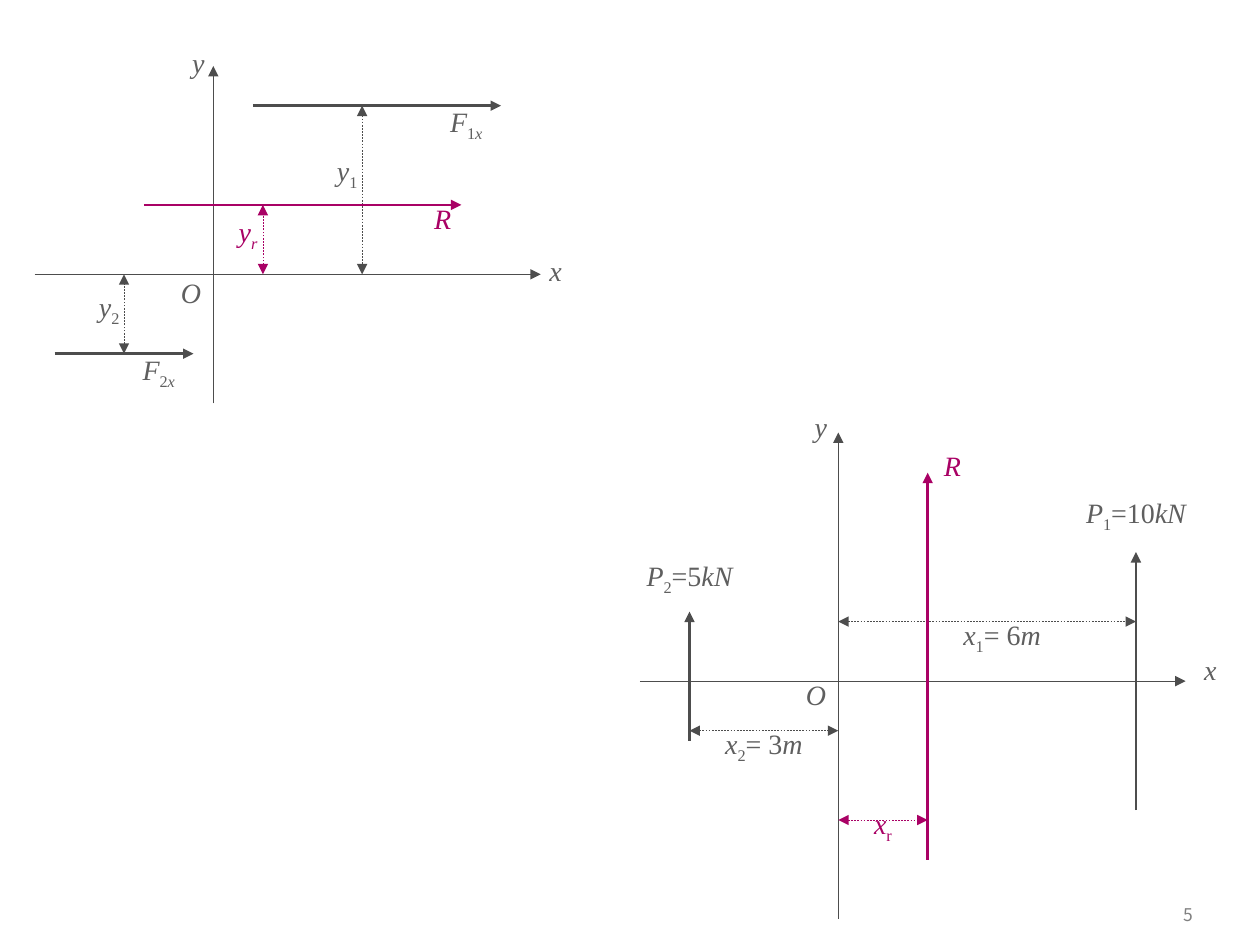
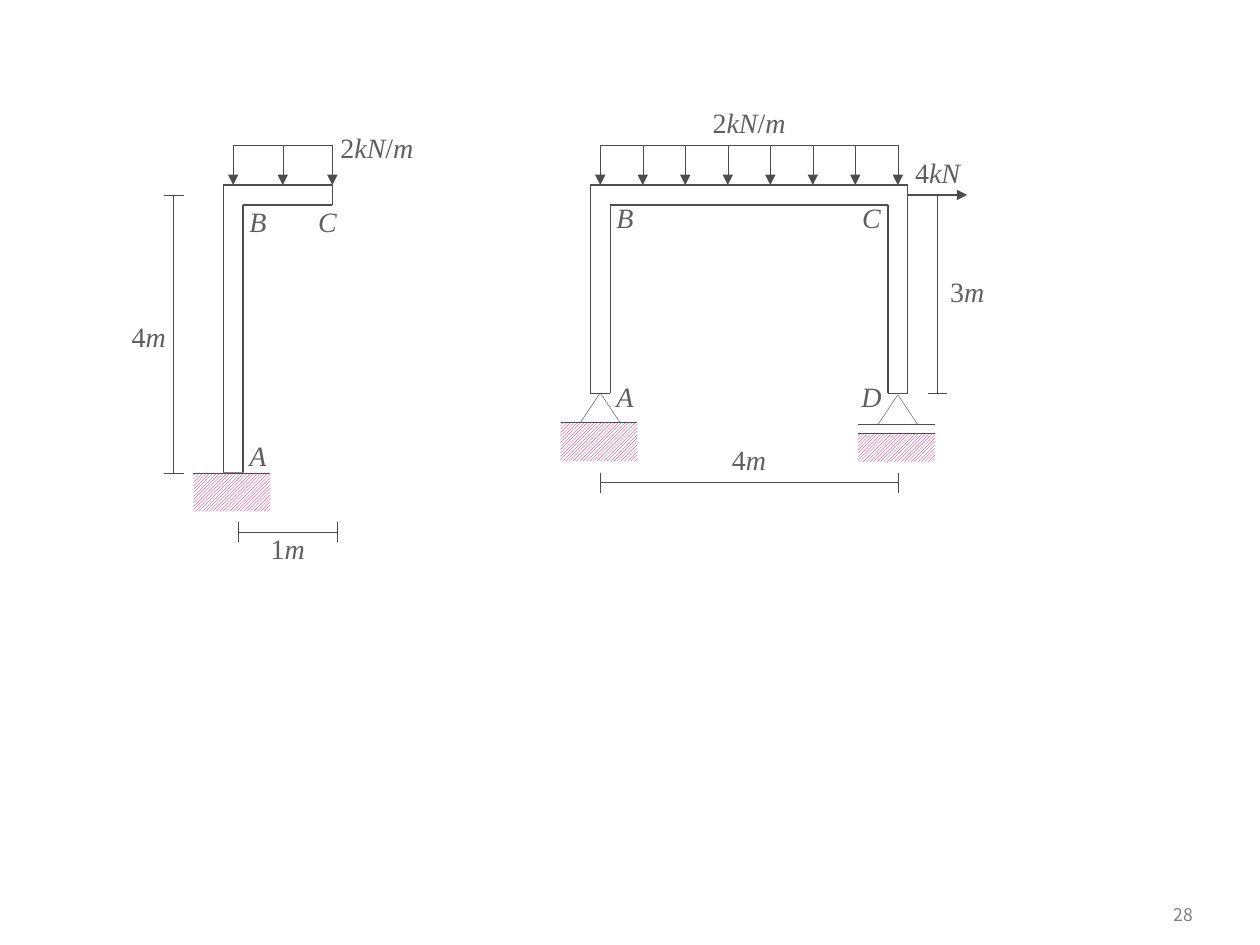
from dataclasses import dataclass
from typing import Optional

import lxml.etree
import pptx
import pptx.dml.color
import pptx.enum.dml
import pptx.enum.shapes
import pptx.enum.text
import pptx.oxml.ns
import pptx.util

Cm = pptx.util.Cm
Pt = pptx.util.Pt
qn = pptx.oxml.ns.qn
SHAPES = pptx.enum.shapes.MSO_SHAPE
ALIGN = pptx.enum.text.PP_ALIGN
ANCHOR = pptx.enum.text.MSO_ANCHOR

# Shared look
COLOURS = {"ink": "4D4D4D", "text": "5F5F5F", "accent": "A90165",
           "page": "808080", "paper": "FFFFFF"}
MATH_FONT = {"name": "Times New Roman", "size": Pt(16)}
PAGE_FONT = {"name": "Noto Sans CJK KR", "size": Pt(10)}
NO_INSET = {"margin_left": 0, "margin_right": 0, "margin_top": 0, "margin_bottom": 0}
TICK = 0.2


@dataclass(frozen=True)
class Stroke:
    colour: str = "ink"
    width: float = 0.25
    head: bool = False
    tail: bool = False
    dashed: bool = False


@dataclass(frozen=True)
class Line:
    x1: float
    y1: float
    x2: float
    y2: float
    stroke: Stroke


@dataclass(frozen=True)
class Span:
    text: str
    italic: bool = False
    lowered: bool = False


@dataclass(frozen=True)
class Label:
    left: float
    top: float
    width: float
    spans: tuple
    colour: str = "text"


@dataclass(frozen=True)
class Ground:
    left: float
    top: float
    height: float
    width: float = 1.55


@dataclass(frozen=True)
class Dimension:
    """A measuring line with a tick across each end."""
    x1: float
    y1: float
    x2: float
    y2: float


@dataclass(frozen=True)
class Load:
    """Evenly spaced arrows under a line."""
    left: float
    right: float
    arrows: int
    top: float = 2.93
    bottom: float = 3.73


THIN = Stroke()
EDGE = Stroke(width=0.75)
AXIS = Stroke(width=0, tail=True)
FORCE = Stroke(width=1.5, tail=True)
RESULTANT = Stroke("accent", 1.5, tail=True)
DISTANCE = Stroke(head=True, tail=True, dashed=True)
RESULTANT_DISTANCE = Stroke("accent", head=True, tail=True, dashed=True)
LOAD_ARROW = Stroke(tail=True)


def var(text: str) -> Span:
    return Span(text, italic=True)


def sub(text: str, italic: bool = False) -> Span:
    return Span(text, italic, lowered=True)


def rgb(name: str) -> pptx.dml.color.RGBColor:
    return pptx.dml.color.RGBColor.from_string(COLOURS[name])


def apply(target, values: dict) -> None:
    for name, value in values.items():
        setattr(target, name, value)


def draw_line(page, line: Line) -> None:
    stroke = line.stroke
    connector = page.shapes.add_connector(
        pptx.enum.shapes.MSO_CONNECTOR.STRAIGHT,
        Cm(line.x1), Cm(line.y1), Cm(line.x2), Cm(line.y2))
    connector.line.color.rgb = rgb(stroke.colour)
    if stroke.dashed:
        connector.line.dash_style = pptx.enum.dml.MSO_LINE.DASH
    properties = connector.element.find(qn("p:spPr"))
    outline = properties.find(qn("a:ln"))
    outline.set("w", str(int(Pt(stroke.width))))  # a hairline needs an explicit 0
    for tag, wanted in (("a:headEnd", stroke.head), ("a:tailEnd", stroke.tail)):
        if wanted:
            lxml.etree.SubElement(outline, qn(tag), type="triangle")
    lxml.etree.SubElement(properties, qn("a:effectLst"))


def draw_label(page, label: Label, height: float = 0.93,
               frame_format: Optional[dict] = None, font: dict = MATH_FONT,
               align=ALIGN.CENTER) -> None:
    box = page.shapes.add_textbox(Cm(label.left), Cm(label.top), Cm(label.width), Cm(height))
    apply(box.text_frame, {"word_wrap": True, **(frame_format or {})})
    para = box.text_frame.paragraphs[0]
    para.alignment = align
    for part in label.spans:
        span = para.add_run()
        span.text = part.text
        apply(span.font, {**font, "italic": part.italic})
        span.font.color.rgb = rgb(label.colour)
        if part.lowered:
            span.font._element.set("baseline", "-25000")


def draw_outline(page, points: list) -> None:
    for start, end in zip(points, points[1:] + points[:1]):
        draw_line(page, Line(*start, *end, EDGE))


def draw_dimension(page, dim: Dimension) -> None:
    draw_line(page, Line(dim.x1, dim.y1, dim.x2, dim.y2, THIN))
    dx, dy = (0, TICK) if dim.y1 == dim.y2 else (TICK, 0)
    for x, y in ((dim.x1, dim.y1), (dim.x2, dim.y2)):
        draw_line(page, Line(x - dx, y - dy, x + dx, y + dy, THIN))


def draw_load(page, load: Load) -> None:
    draw_line(page, Line(load.right, load.top, load.left, load.top, THIN))
    step = (load.right - load.left) / (load.arrows - 1)
    for index in range(load.arrows):
        x = load.left + index * step
        draw_line(page, Line(x, load.top, x, load.bottom, LOAD_ARROW))


def draw_ground(page, ground: Ground) -> None:
    hatch = page.shapes.add_shape(SHAPES.RECTANGLE, Cm(ground.left), Cm(ground.top),
                                  Cm(ground.width), Cm(ground.height))
    hatch.shadow.inherit = False
    hatch.fill.patterned()
    hatch.fill.pattern = pptx.enum.dml.MSO_PATTERN.LIGHT_UPWARD_DIAGONAL
    hatch.fill.fore_color.rgb = rgb("accent")
    hatch.fill.back_color.rgb = rgb("paper")
    hatch.line.fill.background()
    draw_line(page, Line(ground.left, ground.top, ground.left + ground.width, ground.top, THIN))


def draw_pin(page, left: float, top: float) -> None:
    pin = page.shapes.add_shape(SHAPES.ISOSCELES_TRIANGLE, Cm(left), Cm(top), Cm(0.8), Cm(0.6))
    pin.shadow.inherit = False
    pin.fill.background()
    pin.line.color.rgb = rgb("ink")
    pin.line.width = Pt(THIN.width)


def add_page(deck, number: int):
    page = deck.slides.add_slide(deck.slide_layouts[6])
    draw_label(page, Label(22.5, 18.01, 1.8, (Span(str(number)),), "page"), 0.84,
               {"vertical_anchor": ANCHOR.MIDDLE}, PAGE_FONT, ALIGN.RIGHT)
    return page


# Parallel forces and their resultant
FORCE_LINES = [
    # Horizontal forces
    Line(1.1, 7.13, 3.9, 7.13, FORCE),
    Line(4.3, 8.13, 4.3, 1.33, AXIS),
    Line(2.5, 7.13, 2.5, 5.53, DISTANCE),
    Line(0.7, 5.53, 10.9, 5.53, AXIS),
    Line(5.1, 2.13, 10.1, 2.13, FORCE),
    Line(7.3, 2.13, 7.3, 5.53, DISTANCE),
    Line(2.9, 4.13, 9.3, 4.13, RESULTANT),
    Line(5.3, 5.53, 5.3, 4.13, RESULTANT_DISTANCE),
    # Vertical forces
    Line(13.9, 14.93, 13.9, 12.33, FORCE),
    Line(16.9, 18.52, 16.9, 8.72, AXIS),
    Line(13.9, 14.73, 16.9, 14.73, DISTANCE),
    Line(12.9, 13.73, 23.9, 13.73, AXIS),
    Line(22.9, 16.33, 22.9, 11.13, FORCE),
    Line(16.9, 12.53, 22.9, 12.53, DISTANCE),
    Line(18.7, 17.33, 18.7, 9.53, RESULTANT),
    Line(16.9, 16.53, 18.7, 16.53, RESULTANT_DISTANCE),
]
FORCE_LABELS = [
    Label(3.35, 5.44, 1, (var("O"),)),
    Label(10.7, 4.98, 1, (var("x"),)),
    Label(3.5, 0.79, 1, (var("y"),)),
    Label(8.5, 3.93, 0.8, (var("R"),), "accent"),
    Label(4.3, 4.2, 1.4, (var("y"), sub("r", True)), "accent"),
    Label(8.7, 1.99, 1.4, (var("F"), sub("1"), sub("x", True))),
    Label(1.7, 5.72, 1, (var("y"), sub("2"))),
    Label(2.5, 6.99, 1.4, (var("F"), sub("2"), sub("x", True))),
    Label(6.5, 2.97, 1, (var("y"), sub("1"))),
    Label(18.7, 12.33, 3, (var("x"), sub("1"), Span("= 6"), var("m"))),
    Label(15.95, 13.53, 1, (var("O"),)),
    Label(23.9, 13.03, 1, (var("x"),)),
    Label(16.05, 8.13, 1, (var("y"),)),
    Label(18.5, 8.92, 1.4, (var("R"),), "accent"),
    Label(17.1, 16.13, 1.4, (var("x"), sub("r")), "accent"),
    Label(21.1, 9.86, 3.6, (var("P"), sub("1"), Span("=10"), var("kN"))),
    Label(12.3, 11.13, 3.2, (var("P"), sub("2"), Span("=5"), var("kN"))),
    Label(13.9, 14.53, 3, (var("x"), sub("2"), Span("= 3"), var("m"))),
]

# Loaded frames
LOAD_TEXT = (Span("2"), var("kN"), Span("/"), var("m"))
CANTILEVER = [(4.5, 9.53), (4.5, 3.73), (6.7, 3.73), (6.7, 4.13), (4.9, 4.13), (4.9, 9.53)]
PORTAL = [(11.9, 7.93), (11.9, 3.73), (18.3, 3.73), (18.3, 7.93),
          (17.9, 7.93), (17.9, 4.13), (12.3, 4.13), (12.3, 7.93)]
LOADS = [Load(4.7, 6.7, 3), Load(12.1, 18.1, 8)]
GROUNDS = [Ground(3.9, 9.53, 0.78), Ground(11.3, 8.52, 0.78), Ground(17.3, 8.73, 0.58)]
PINS = [(11.7, 7.92), (17.7, 7.96)]
DIMENSIONS = [
    Dimension(3.5, 3.93, 3.5, 9.53),
    Dimension(4.8, 10.72, 6.8, 10.72),
    Dimension(12.1, 9.73, 18.1, 9.73),
    Dimension(18.9, 3.93, 18.9, 7.93),
]
FRAME_LABELS = [
    Label(2.5, 6.45, 1, (Span("4"), var("m"))),
    Label(5.2, 10.72, 1.2, (Span("1"), var("m"))),
    Label(4.9, 8.84, 0.6, (var("A"),)),
    Label(4.9, 4.12, 0.6, (var("B"),)),
    Label(6.3, 4.12, 0.6, (var("C"),)),
    Label(6.7, 2.64, 1.8, LOAD_TEXT),
    Label(12.2, 7.65, 0.8, (var("A"),)),
    Label(12.2, 4.04, 0.8, (var("B"),)),
    Label(17.17, 4.04, 0.8, (var("C"),)),
    Label(17.17, 7.65, 0.8, (var("D"),)),
    Label(14.5, 8.92, 1.2, (Span("4"), var("m"))),
    Label(18.9, 5.53, 1.2, (Span("3"), var("m"))),
    Label(18.1, 3.13, 1.6, (Span("4"), var("kN"))),
    Label(14.1, 2.13, 2, LOAD_TEXT),
]


def build_forces(deck) -> None:
    page = add_page(deck, 5)
    for line in FORCE_LINES:
        draw_line(page, line)
    for label in FORCE_LABELS:
        draw_label(page, label)


def build_frames(deck) -> None:
    page = add_page(deck, 28)
    for outline in (CANTILEVER, PORTAL):
        draw_outline(page, outline)
    for ground in GROUNDS:
        draw_ground(page, ground)
    for left, top in PINS:
        draw_pin(page, left, top)
    draw_line(page, Line(17.3, 8.56, 18.85, 8.56, THIN))  # roller plate
    draw_line(page, Line(18.3, 3.93, 19.5, 3.93, FORCE))
    for load in LOADS:
        draw_load(page, load)
    for dimension in DIMENSIONS:
        draw_dimension(page, dimension)
    for label in FRAME_LABELS:
        draw_label(page, label, 0.69, NO_INSET)


def main() -> None:
    deck = pptx.Presentation()
    apply(deck, {"slide_width": Cm(25.4), "slide_height": Cm(19.05)})
    build_forces(deck)
    build_frames(deck)
    deck.save("out.pptx")


if __name__ == "__main__":
    main()
